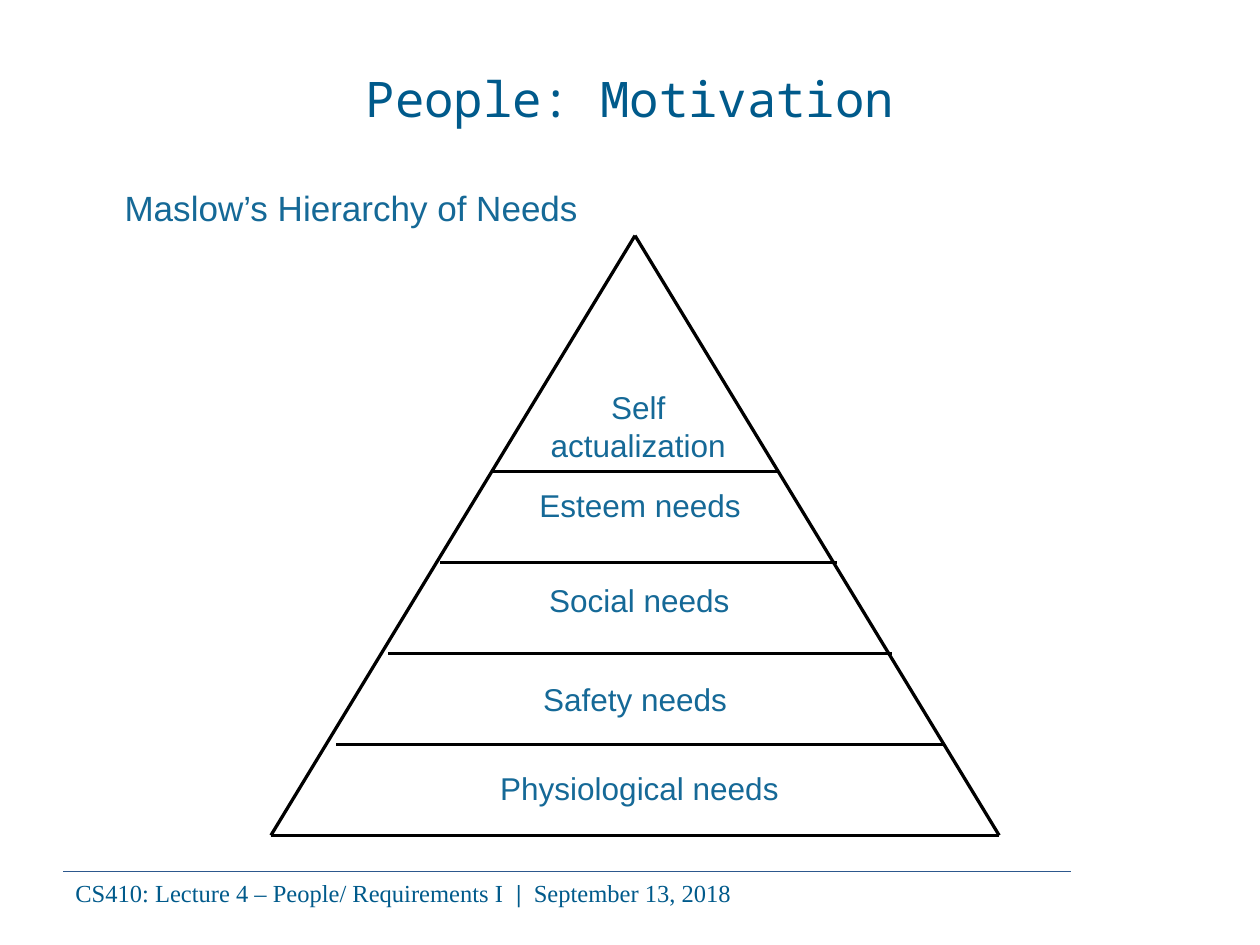
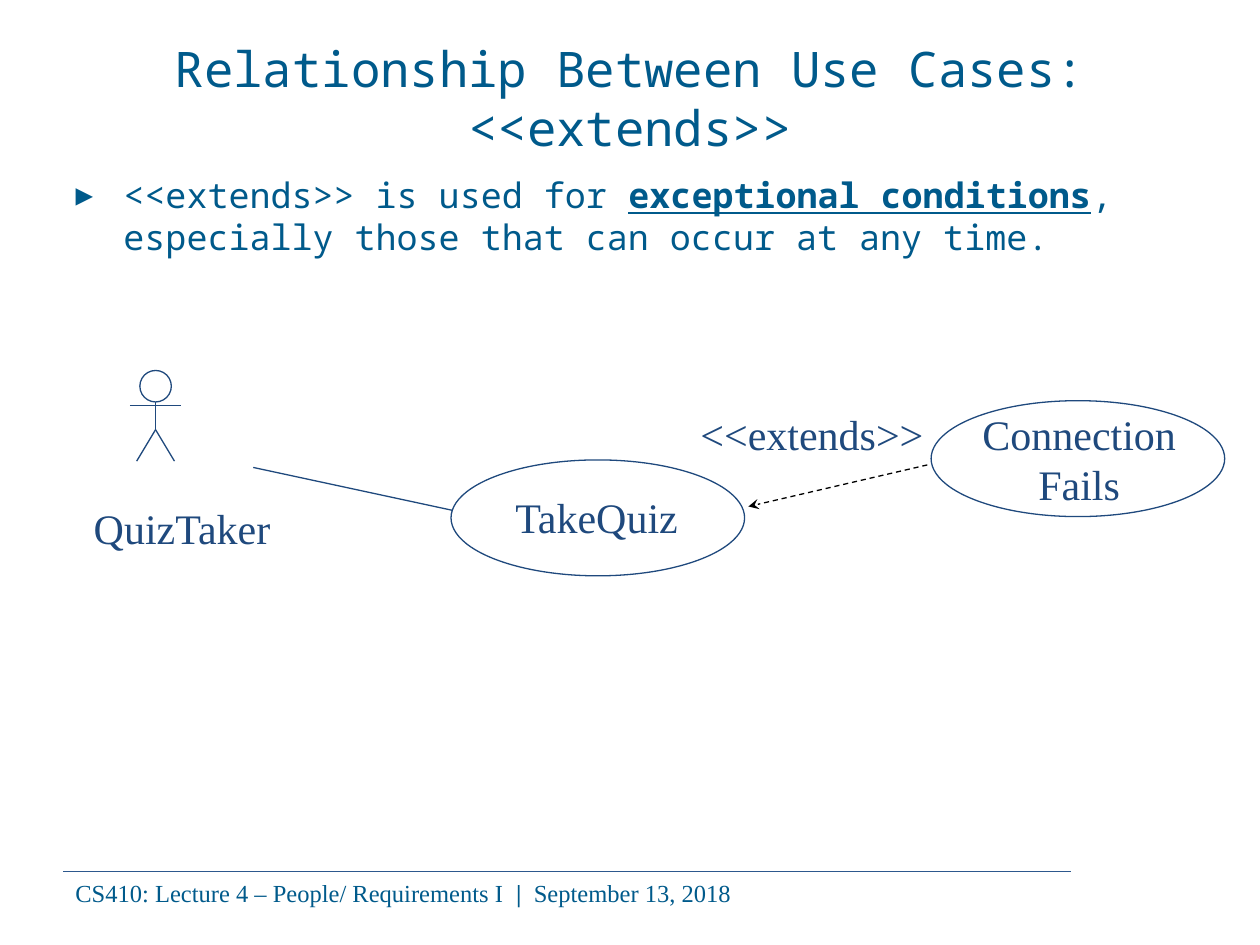
from dataclasses import dataclass
from typing import NamedTuple

from lxml import etree
from pptx import Presentation
from pptx import util as u
from pptx.dml.color import RGBColor
from pptx.enum import dml, shapes, text
from pptx.oxml import ns

# Shared look: a grid of 100 columns by 75 rows on a 10 x 7.5 inch page
WIDTH, HEIGHT = u.Inches(10), u.Inches(7.5)
COLUMNS, ROWS = 100, 75
COLORS = {"title": "005A8B", "label": "156997", "drawing": "1F497D",
          "rule": "2D588D", "pyramid": "000000"}
MONO, SANS, SERIF = "Noto Sans Mono", "Arial", "Times New Roman"
CENTER = text.PP_ALIGN.CENTER
LEFT = text.PP_ALIGN.LEFT


class Span(NamedTuple):
    words: str
    bold: bool = False
    underline: bool = False


@dataclass(frozen=True)
class Area:
    left: float
    top: float
    width: float
    height: float

    def lengths(self) -> tuple:
        return (col(self.left), row(self.top), col(self.width), row(self.height))


@dataclass(frozen=True)
class Stroke:
    start: tuple
    end: tuple
    color: str = "drawing"
    weight: float = 0.75
    arrow: bool = False


@dataclass(frozen=True)
class Label:
    words: str
    area: Area


def col(count: float) -> int:
    return round(WIDTH * count / COLUMNS)


def row(count: float) -> int:
    return round(HEIGHT * count / ROWS)


def rgb(name: str) -> RGBColor:
    return RGBColor.from_string(COLORS[name])


def put_text(frame, content, *, font: str, size: float, color: str,
             align=LEFT, margins=(0.1, 0.05), wrap: bool = True) -> None:
    """Fill a frame with a string (one paragraph a line) or a list of spans."""
    frame.word_wrap = wrap
    frame.auto_size = text.MSO_AUTO_SIZE.NONE
    frame.margin_left = frame.margin_right = u.Inches(margins[0])
    frame.margin_top = frame.margin_bottom = u.Inches(margins[1])
    if isinstance(content, str):
        paragraphs = [[Span(line)] for line in content.split("\n")]
    else:
        paragraphs = [content]
    for index, spans in enumerate(paragraphs):
        para = frame.add_paragraph() if index else frame.paragraphs[0]
        para.alignment = align
        for span in spans:
            run = para.add_run()
            run.text = span.words
            run.font.name, run.font.size = font, u.Pt(size)
            run.font.bold, run.font.underline = span.bold, span.underline
            run.font.color.rgb = rgb(color)


def add_label(page, area: Area, content, **style) -> None:
    box = page.shapes.add_textbox(*area.lengths())
    put_text(box.text_frame, content, **style)


def add_stroke(page, stroke: Stroke) -> None:
    (x1, y1), (x2, y2) = stroke.start, stroke.end
    line = page.shapes.add_connector(shapes.MSO_CONNECTOR.STRAIGHT,
                                     col(x1), row(y1), col(x2), row(y2))
    line.line.color.rgb = rgb(stroke.color)
    line.line.width = u.Pt(stroke.weight)
    properties = line.element.spPr
    if stroke.arrow:
        line.line.dash_style = dml.MSO_LINE.DASH
        outline = properties.find(ns.qn("a:ln"))
        etree.SubElement(outline, ns.qn("a:tailEnd"), type="stealth")
    etree.SubElement(properties, ns.qn("a:effectLst"))


def add_ellipse(page, area: Area) -> None:
    oval = page.shapes.add_shape(shapes.MSO_SHAPE.OVAL, *area.lengths())
    oval.shadow.inherit = False
    oval.fill.background()
    oval.line.color.rgb = rgb("drawing")
    oval.line.width = u.Pt(0.75)


def place(holder, area: Area) -> None:
    holder.left, holder.top, holder.width, holder.height = area.lengths()


def add_bullet(para, mark: str, color: str) -> None:
    properties = para._p.get_or_add_pPr()
    indent = u.Inches(0.38)
    properties.set("marL", str(indent))
    properties.set("indent", str(-indent))
    tint = etree.SubElement(properties, ns.qn("a:buClr"))
    etree.SubElement(tint, ns.qn("a:srgbClr"), val=COLORS[color])
    etree.SubElement(properties, ns.qn("a:buChar"), char=mark)
    para.space_before = u.Pt(5)


def start_page(deck, layout: str, title: str):
    """Add a page with its title, footer rule and footer text."""
    page = deck.slides.add_slide(deck.slide_layouts.get_by_name(layout))
    place(page.shapes.title, Area(5, 3, 90, 9.5))
    put_text(page.shapes.title.text_frame, title, font=MONO, size=28,
             color="title", align=CENTER)
    page.shapes.title.text_frame.vertical_anchor = text.MSO_ANCHOR.MIDDLE
    add_stroke(page, Stroke((5, 69.2), (85, 69.2), "rule", 0.5))
    footer = [Span("CS410: Lecture 4 – People/ Requirements I  "),
              Span("|  ", bold=True), Span("September 13, 2018")]
    add_label(page, Area(5, 69.2, 81.7, 3.4), footer,
              font=SERIF, size=14, color="title")
    return page


def build_motivation(deck) -> None:
    page = start_page(deck, "Title Only", "People: Motivation")
    add_label(page, Area(8.9, 14.3, 43.9, 4.4), "Maslow’s Hierarchy of Needs",
              font=SANS, size=20, color="label")

    # Needs, from the top of the pyramid down
    needs = [
        Label("Self\nactualization", Area(43.7, 30.8, 13.9, 6)),
        Label("Esteem needs", Area(42.8, 38.6, 16, 3)),
        Label("Social needs", Area(43.6, 46.1, 14.3, 3)),
        Label("Safety needs", Area(43.1, 54, 14.6, 3)),
        Label("Physiological needs", Area(39.7, 61, 22.1, 3)),
    ]
    for need in needs:
        add_label(page, need.area, need.words, font=SANS, size=18,
                  color="label", align=CENTER, margins=(0, 0), wrap=False)

    # Two sides, then the evenly spaced floors
    peak, base, first_floor = 18.7, 66.3, 37.4
    floors = [(39, 61.7), (34.9, 66.4), (30.8, 70.8), (26.7, 74.9), (21.5, 79.3)]
    gap = (base - first_floor) / (len(floors) - 1)
    edges = [((50.4, peak), (x, base)) for x in floors[-1]]
    for level, (left, right) in enumerate(floors):
        y = first_floor + level * gap
        edges.append(((left, y), (right, y)))
    for start, end in edges:
        add_stroke(page, Stroke(start, end, "pyramid", 1.87))


def add_actor(page, x: float, top: float) -> None:
    """Draw a stick figure centred on column x."""
    neck, arms, hip, feet = top + 2.5, top + 2.8, top + 4.7, top + 7.2
    add_ellipse(page, Area(x - 1.25, top, 2.5, 2.5))
    limbs = [((x, neck), (x, hip)), ((x - 2.05, arms), (x + 2.05, arms))]
    limbs += [((x, hip), (x + side, feet)) for side in (-1.5, 1.5)]
    for start, end in limbs:
        add_stroke(page, Stroke(start, end))


def build_extends(deck) -> None:
    page = start_page(deck, "Title and Content",
                      "Relationship Between Use Cases: <<extends>>")
    body = page.placeholders[1]
    place(body, Area(5, 13.3, 85.8, 53.8))
    put_text(body.text_frame,
             [Span("<<extends>> is used for "),
              Span("exceptional conditions", bold=True, underline=True),
              Span(", especially those that can occur at any time.")],
             font=MONO, size=20, color="title")
    add_bullet(body.text_frame.paragraphs[0], "▸", "title")

    # Actor and use cases
    add_actor(page, 12.35, 29.4)
    for left, top in ((35.8, 36.5), (73.9, 31.8)):
        add_ellipse(page, Area(left, top, 23.3, 9.2))
    names = [
        Label("QuizTaker", Area(2.8, 39.4, 23.3, 5)),
        Label("TakeQuiz", Area(36.1, 38.5, 22.5, 5)),
        Label("Connection\nFails", Area(76.9, 31.9, 17.5, 9)),
        Label("<<extends>>", Area(53.6, 31.9, 21.7, 5)),
    ]
    for name in names:
        add_label(page, name.area, name.words, font=SERIF, size=24,
                  color="drawing", align=CENTER)

    # Relationships
    add_stroke(page, Stroke((20.1, 37.1), (35.9, 40.5)))
    add_stroke(page, Stroke((73.6, 36.9), (59.4, 40.2), "pyramid", arrow=True))


def main() -> None:
    deck = Presentation()
    deck.slide_width, deck.slide_height = WIDTH, HEIGHT
    build_motivation(deck)
    build_extends(deck)
    deck.save("out.pptx")


if __name__ == "__main__":
    main()
